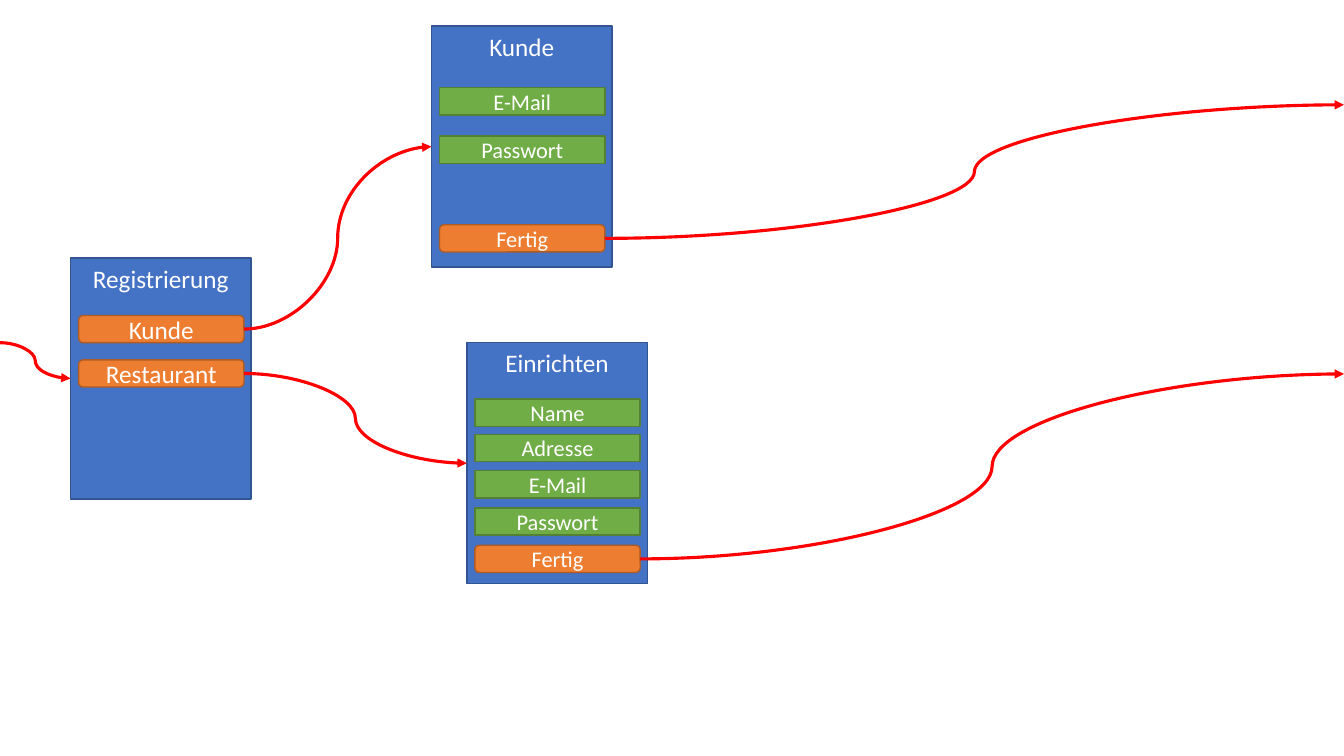
from dataclasses import dataclass
from typing import NamedTuple

from lxml import etree
from pptx import Presentation
from pptx.dml.color import RGBColor
from pptx.enum.shapes import MSO_CONNECTOR, MSO_SHAPE
from pptx.enum.text import MSO_ANCHOR, PP_ALIGN
from pptx.oxml.ns import qn
from pptx.util import Inches, Pt

RECT, ROUNDED = MSO_SHAPE.RECTANGLE, MSO_SHAPE.ROUNDED_RECTANGLE
CURVE = MSO_CONNECTOR.CURVE
TOP, MIDDLE = MSO_ANCHOR.TOP, MSO_ANCHOR.MIDDLE
CENTER = PP_ALIGN.CENTER
LEFT_SITE, RIGHT_SITE = 1, 3


@dataclass(frozen=True)
class Theme:
    font: str = "Calibri"
    text: str = "FFFFFF"
    arrow: str = "FF0000"
    title_size: int = 18
    field_size: int = 16
    outline: float = 1
    arrow_width: float = 2.25


class Style(NamedTuple):
    geometry: int
    fill: str
    line: str
    anchor: int


class Item(NamedTuple):
    text: str
    top: float
    style: Style
    size: int


class Screen(NamedTuple):
    title: str
    left: float
    top: float
    items: list[Item]


THEME = Theme()
PANEL = Style(RECT, "4472C4", "325491", TOP)
FIELD = Style(RECT, "70AD47", "538035", MIDDLE)
BUTTON = Style(ROUNDED, "ED7D31", "AF5C24", MIDDLE)

SLIDE_W, SLIDE_H = 13.33, 7.5
SCREEN_W, SCREEN_H = 1.79, 2.39
ITEM_W, ITEM_H = 1.64, 0.27
ITEM_INSET = 0.08

SCREENS = [
    Screen("Registrierung", 0.7, 2.56, [
        Item("Kunde", 3.13, BUTTON, THEME.title_size),
        Item("Restaurant", 3.57, BUTTON, THEME.title_size),
    ]),
    Screen("Einrichten", 4.63, 3.4, [
        Item("Name", 3.96, FIELD, THEME.field_size),
        Item("Adresse", 4.31, FIELD, THEME.field_size),
        Item("E-Mail", 4.67, FIELD, THEME.field_size),
        Item("Passwort", 5.04, FIELD, THEME.field_size),
        Item("Fertig", 5.41, BUTTON, THEME.field_size),
    ]),
    Screen("Kunde", 4.28, 0.26, [
        Item("E-Mail", 0.87, FIELD, THEME.field_size),
        Item("Passwort", 1.35, FIELD, THEME.field_size),
        Item("Fertig", 2.23, BUTTON, THEME.field_size),
    ]),
]


def add_box(s, text: str, left: float, top: float, width: float,
            height: float, style: Style, size: int):
    box = s.shapes.add_shape(style.geometry, Inches(left), Inches(top),
                             Inches(width), Inches(height))
    box.shadow.inherit = False
    box.fill.solid()
    box.fill.fore_color.rgb = RGBColor.from_string(style.fill)
    box.line.color.rgb = RGBColor.from_string(style.line)
    box.line.width = Pt(THEME.outline)
    tf = box.text_frame
    tf.word_wrap = True
    tf.vertical_anchor = style.anchor
    p = tf.paragraphs[0]
    p.alignment = CENTER
    r = p.add_run()
    r.text = text
    r.font.name = THEME.font
    r.font.size = Pt(size)
    r.font.color.rgb = RGBColor.from_string(THEME.text)
    return box


def add_screen(s, screen: Screen) -> dict:
    """Draw a screen; return its panel by title and its items by (title, text)."""
    boxes = {screen.title: add_box(s, screen.title, screen.left, screen.top,
                                   SCREEN_W, SCREEN_H, PANEL, THEME.title_size)}
    for item in screen.items:
        boxes[screen.title, item.text] = add_box(
            s, item.text, screen.left + ITEM_INSET, item.top,
            ITEM_W, ITEM_H, item.style, item.size)
    return boxes


def add_arrow(s, source=None, target=None, edge_y: float = 0) -> None:
    """Link two boxes; a missing end lies on the slide edge at edge_y."""
    y = Inches(edge_y)
    arrow = s.shapes.add_connector(CURVE, Inches(0), y, Inches(SLIDE_W), y)
    if source is not None:
        arrow.begin_connect(source, RIGHT_SITE)
    if target is not None:
        arrow.end_connect(target, LEFT_SITE)
    arrow.line.color.rgb = RGBColor.from_string(THEME.arrow)
    arrow.line.width = Pt(THEME.arrow_width)
    ln = arrow.line._get_or_add_ln()
    etree.SubElement(ln, qn("a:tailEnd"), type="triangle")
    etree.SubElement(arrow._element.spPr, qn("a:effectLst"))


prs = Presentation()
prs.slide_width, prs.slide_height = Inches(SLIDE_W), Inches(SLIDE_H)
s = prs.slides.add_slide(prs.slide_layouts[6])

# Screens with their fields and buttons
boxes = {}
for screen in SCREENS:
    boxes.update(add_screen(s, screen))

# Navigation between screens, and to and from the slide edges
add_arrow(s, target=boxes["Registrierung"], edge_y=3.4)
add_arrow(s, boxes["Registrierung", "Restaurant"], boxes["Einrichten"])
add_arrow(s, boxes["Registrierung", "Kunde"], boxes["Kunde"])
add_arrow(s, boxes["Einrichten", "Fertig"], edge_y=3.71)
add_arrow(s, boxes["Kunde", "Fertig"], edge_y=1.04)

prs.save("out.pptx")
